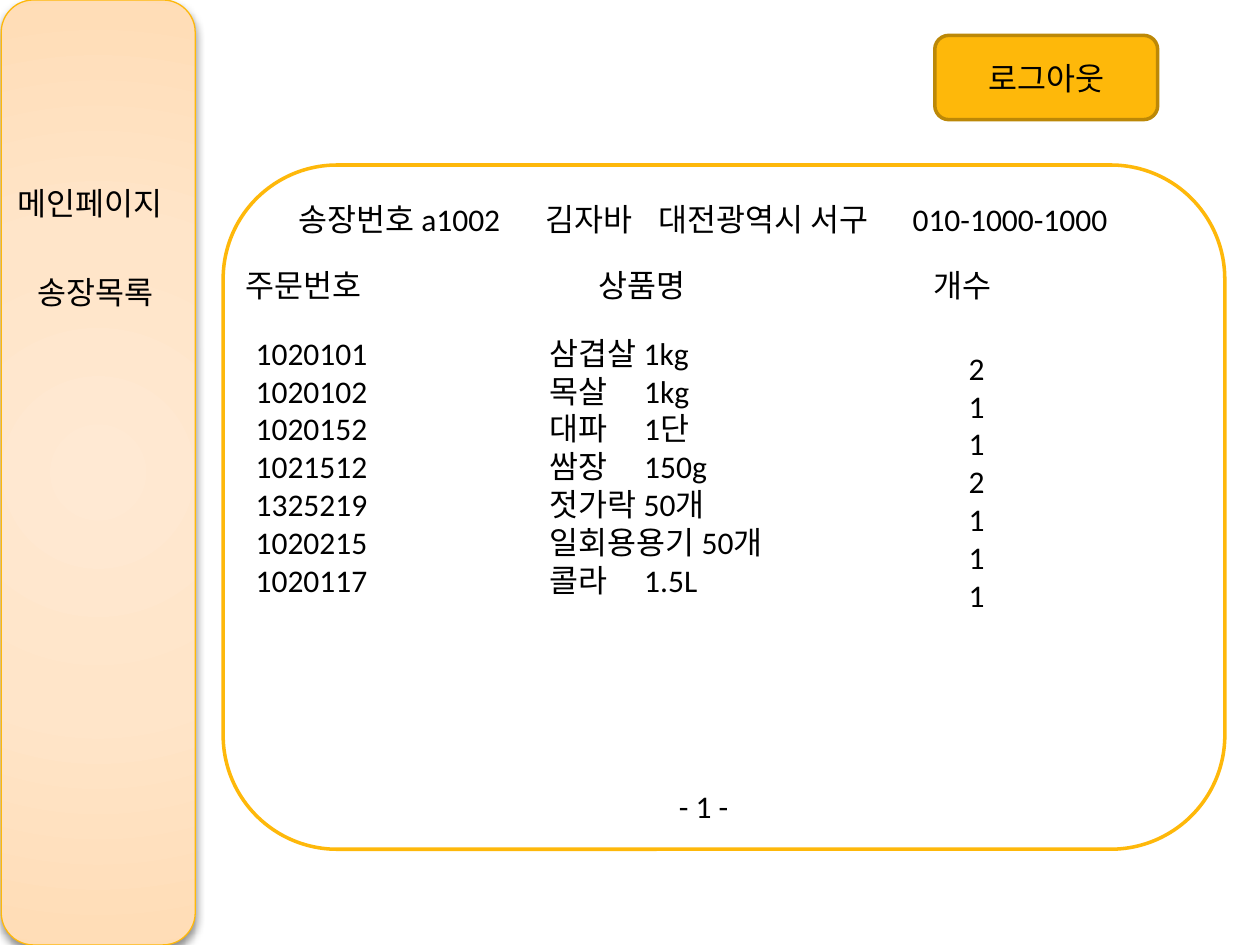
from dataclasses import dataclass

from lxml.etree import SubElement
from pptx import Presentation
from pptx.dml.color import RGBColor
from pptx.enum.shapes import MSO_SHAPE
from pptx.enum.text import MSO_ANCHOR, PP_ALIGN
from pptx.oxml import parse_xml
from pptx.oxml.ns import nsdecls, qn
from pptx.util import Pt


@dataclass(frozen=True)
class Theme:
    font: str = "Calibri"
    size: int = 18
    text: str = "000000"
    paper: str = "FFFFFF"
    accent: str = "FEB80A"
    accent_dark: str = "BC8807"
    sidebar_stops: tuple = ((0, "FFE9D3"), (50, "FFE5C9"), (97, "FFDDB7"), (100, "FFDBB2"))


THEME = Theme()

ORDERS = [
    ("1020101", "삼겹살 1kg", 2),
    ("1020102", "목살\t1kg", 1),
    ("1020152", "대파\t1단", 1),
    ("1021512", "쌈장\t150g", 2),
    ("1325219", "젓가락 50개", 1),
    ("1020215", "일회용용기 50개", 1),
    ("1020117", "콜라\t1.5L", 1),
]


def set_tabs(para, stops):
    tab_list = SubElement(para._p.get_or_add_pPr(), qn("a:tabLst"))
    for stop in stops:
        SubElement(tab_list, qn("a:tab"), pos=str(Pt(stop)), algn="l")


def write_lines(frame, lines, tabs=()):
    frame.text = "\n".join(lines)
    for para in frame.paragraphs:
        if tabs:
            set_tabs(para, tabs)
        for span in para.runs:
            span.font.name = THEME.font
            span.font.size = Pt(THEME.size)
            span.font.color.rgb = RGBColor.from_string(THEME.text)


def add_text(shapes, bounds, lines, tabs=()):
    box = shapes.add_textbox(*map(Pt, bounds))
    box.text_frame.word_wrap = True
    write_lines(box.text_frame, lines, tabs)


def add_rounded(shapes, bounds, fill, line, width):
    box = shapes.add_shape(MSO_SHAPE.ROUNDED_RECTANGLE, *map(Pt, bounds))
    box.shadow.inherit = False
    box.fill.solid()
    box.fill.fore_color.rgb = RGBColor.from_string(fill)
    box.line.color.rgb = RGBColor.from_string(line)
    box.line.width = Pt(width)
    return box


def add_button(shapes, bounds, label):
    button = add_rounded(shapes, bounds, THEME.accent, THEME.accent_dark, 2)
    button.text_frame.vertical_anchor = MSO_ANCHOR.MIDDLE
    write_lines(button.text_frame, [label])
    button.text_frame.paragraphs[0].alignment = PP_ALIGN.CENTER


def set_radial_fill(box, stops):
    stop_xml = "".join(
        f'<a:gs pos="{place * 1000}"><a:srgbClr val="{color}"/></a:gs>' for place, color in stops
    )
    gradient = parse_xml(
        f'<a:gradFill {nsdecls("a")} rotWithShape="1"><a:gsLst>{stop_xml}</a:gsLst>'
        '<a:path path="circle"><a:fillToRect l="50000" t="50000" r="50000" b="50000"/></a:path>'
        "</a:gradFill>"
    )
    properties = box._element.spPr
    properties.replace(properties.find(qn("a:solidFill")), gradient)


def set_shadow(box, blur, distance, opacity):
    effects = box._element.spPr.find(qn("a:effectLst"))
    shadow = SubElement(
        effects, qn("a:outerShdw"), blurRad=str(Pt(blur)), dist=str(Pt(distance)),
        dir="5400000", rotWithShape="0",
    )
    color = SubElement(shadow, qn("a:srgbClr"), val="000000")
    SubElement(color, qn("a:alpha"), val=str(opacity * 1000))


def add_invoice(page):
    shapes = page.shapes.add_group_shape().shapes
    add_rounded(shapes, (127.5, 94.3, 572.4, 391), THEME.paper, THEME.accent, 2)
    add_text(shapes, (133.2, 148.3, 566, 33), ["주문번호\t상품명\t개수"], (202, 393))
    add_text(
        shapes, (139, 187.2, 534.2, 208.8),
        [f"{number}\t{product}" for number, product, _ in ORDERS], (168, 222),
    )
    add_text(shapes, (546.5, 195.8, 23.8, 191.5), [str(count) for *_, count in ORDERS])
    add_text(
        shapes, (163.4, 110.9, 553, 34.6),
        ["송장번호 a1002\t김자바\t대전광역시 서구\t010-1000-1000"], (141, 206, 351),
    )
    add_text(shapes, (380.9, 446.4, 60.5, 34.6), ["- 1 -"])


def add_sidebar(page):
    sidebar = add_rounded(page.shapes, (0.7, 0, 110.9, 540), THEME.paper, THEME.accent, 0.75)
    set_radial_fill(sidebar, THEME.sidebar_stops)
    set_shadow(sidebar, 5, 2, 43)
    add_text(page.shapes, (2.9, 101.5, 105.8, 28.8), ["메인페이지"])
    add_text(page.shapes, (14.4, 152.6, 95, 51), ["송장목록"])


def main():
    deck = Presentation()
    deck.slide_width, deck.slide_height = Pt(720), Pt(540)
    page = deck.slides.add_slide(deck.slide_layouts[6])
    add_button(page.shapes, (534.2, 20.2, 127.4, 48.2), "로그아웃")
    add_invoice(page)
    add_sidebar(page)
    deck.save("out.pptx")


if __name__ == "__main__":
    main()
